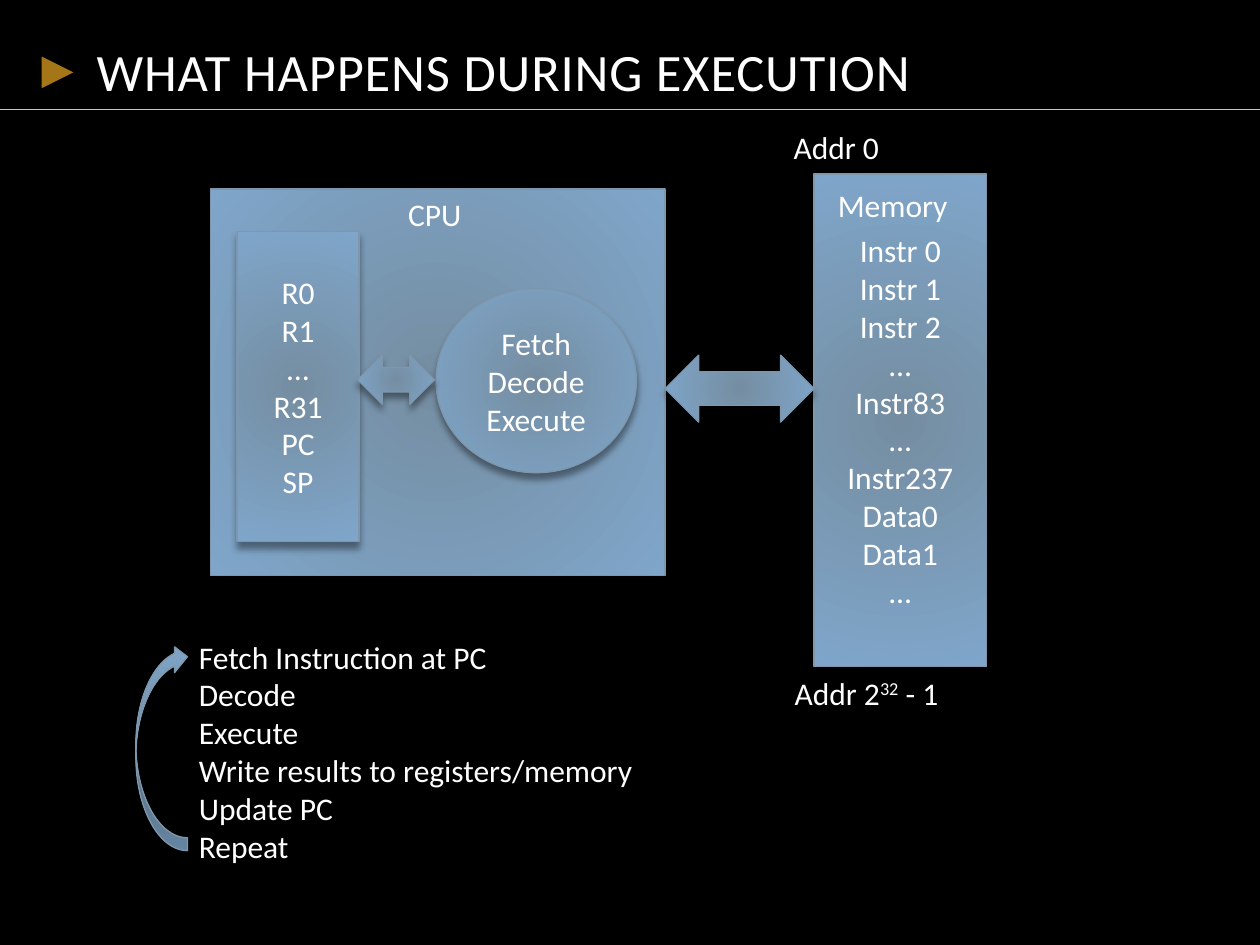
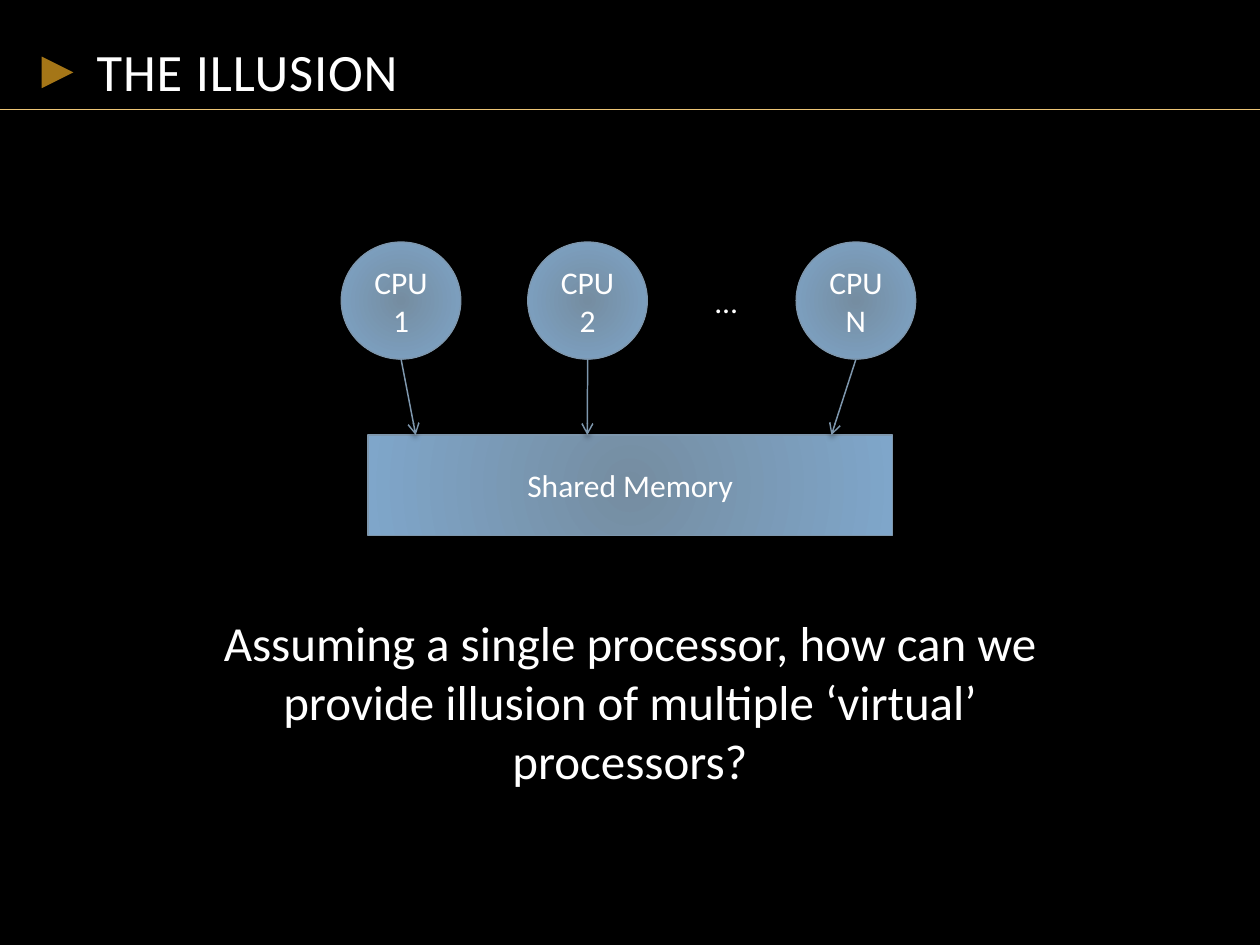
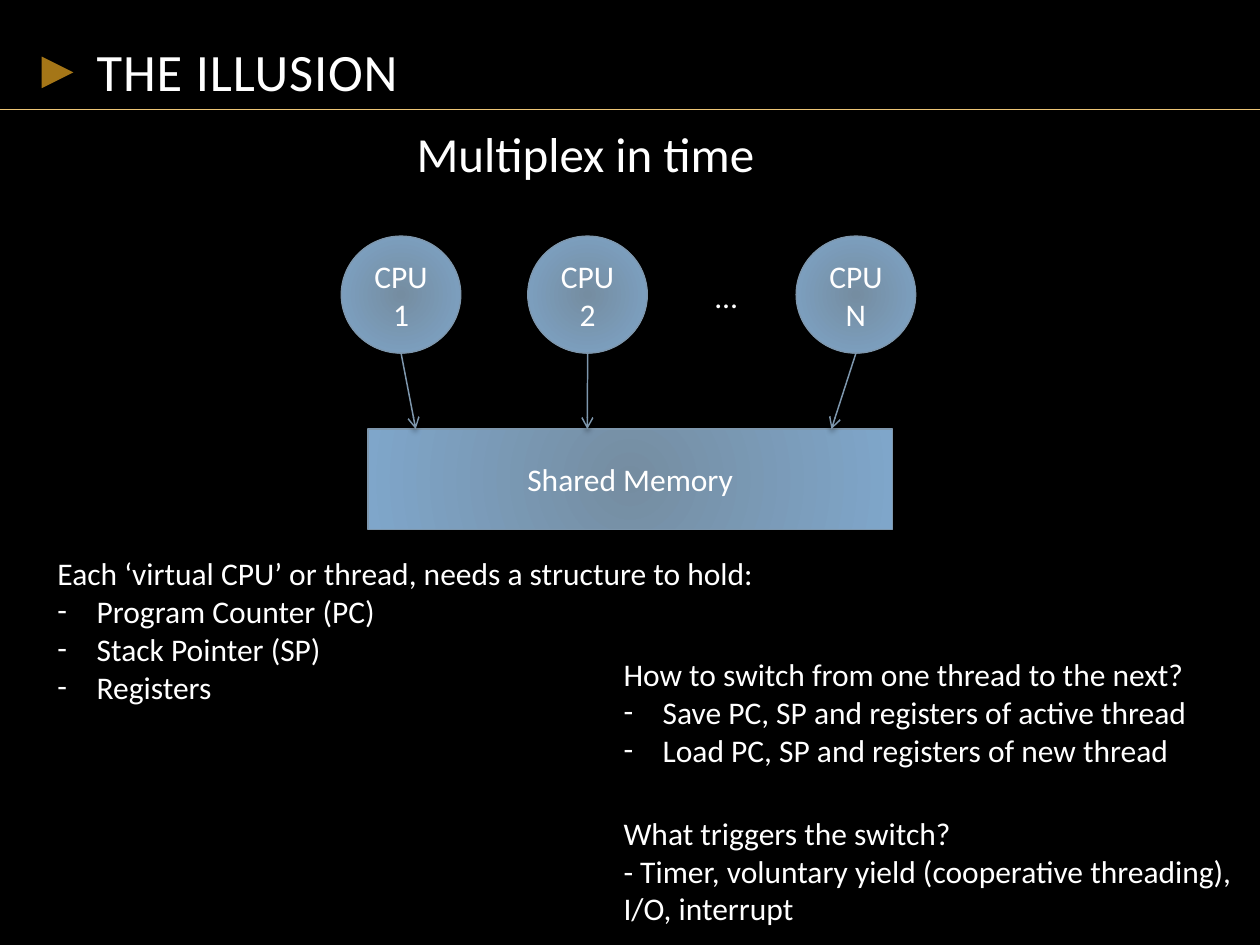
from dataclasses import dataclass

import lxml.etree
import pptx
import pptx.dml.color
import pptx.enum.shapes
import pptx.enum.text
import pptx.oxml.ns
import pptx.util

Cm = pptx.util.Cm
Pt = pptx.util.Pt
FORM = pptx.enum.shapes.MSO_SHAPE
ALIGN = pptx.enum.text.PP_ALIGN
ANCHOR = pptx.enum.text.MSO_ANCHOR

# Shared look
FONT = "Calibri"
BLACK, WHITE = "000000", "FFFFFF"
GOLD, AMBER = "ECC577", "A57617"
CORE, RIM, EDGE = "758DA1", "7FA6CA", "7E97AD"
WIDE, HIGH = 25.4, 19.05
BODY, LARGE, TITLE = 18, 28, 30
INDENT = 0.79


@dataclass
class Block:
    """A shaded shape; lengths in centimetres."""
    form: int
    left: float
    top: float
    width: float
    height: float
    lines: tuple = ()


@dataclass
class Note:
    """A text box; with dashes, all lines after the first are bulleted."""
    left: float
    top: float
    width: float
    height: float
    lines: tuple
    size: int = BODY
    dashes: bool = False
    wrap: bool = False


@dataclass
class Node:
    """A processor and the place where its arrow meets the memory."""
    name: str
    left: float
    target: float


def color(code: str) -> pptx.dml.color.RGBColor:
    return pptx.dml.color.RGBColor.from_string(code)


def add_tag(parent, tag: str, **attrs):
    items = {key: str(value) for key, value in attrs.items()}
    return lxml.etree.SubElement(parent, pptx.oxml.ns.qn(tag), items)


def style(para, size: int) -> None:
    for run in para.runs:
        run.font.name, run.font.size = FONT, Pt(size)
        run.font.color.rgb = color(WHITE)


def write(frame, lines: tuple, size: int, align) -> None:
    frame.text = "\n".join(lines)
    for para, line in zip(frame.paragraphs, lines):
        para.text = line
        para.alignment = align
        style(para, size)


def add_shade(shape, blur: float, gap: float) -> None:
    effects = add_tag(shape.element.spPr, "a:effectLst")
    shade = add_tag(effects, "a:outerShdw", blurRad=Pt(blur), dist=Pt(gap),
                    dir=5400000, rotWithShape=0)
    add_tag(add_tag(shade, "a:srgbClr", val=BLACK), "a:alpha", val=40000)


def draw_block(shapes, block: Block):
    shape = shapes.add_shape(block.form, Cm(block.left), Cm(block.top),
                             Cm(block.width), Cm(block.height))
    shape.fill.gradient()
    for stop, code in zip(shape.fill.gradient_stops, (CORE, RIM)):
        stop.color.rgb = color(code)
    # Turn the linear gradient into a circular one
    grad = shape.element.spPr.find(pptx.oxml.ns.qn("a:gradFill"))
    grad.remove(grad.find(pptx.oxml.ns.qn("a:lin")))
    sides = dict.fromkeys("ltrb", 100000)
    add_tag(add_tag(grad, "a:path", path="circle"), "a:fillToRect", **sides)
    shape.line.color.rgb = color(EDGE)
    shape.line.width = Pt(0.75)
    add_shade(shape, 4, 3.4)
    if block.lines:
        write(shape.text_frame, block.lines, BODY, ALIGN.CENTER)
    return shape


def draw_note(shapes, note: Note, align=ALIGN.LEFT):
    frame = shapes.add_textbox(Cm(note.left), Cm(note.top), Cm(note.width),
                               Cm(note.height)).text_frame
    frame.word_wrap = note.wrap
    frame.auto_size = pptx.enum.text.MSO_AUTO_SIZE.SHAPE_TO_FIT_TEXT
    write(frame, note.lines, note.size, align)
    for para in frame.paragraphs[1:] if note.dashes else ():
        props = para._p.get_or_add_pPr()
        props.set("marL", str(Cm(INDENT)))
        props.set("indent", str(-Cm(INDENT)))
        add_tag(props, "a:buFont", typeface=FONT)
        add_tag(props, "a:buChar", char="-")
    return frame


def draw_line(shapes, start: tuple, end: tuple, code: str, width: float):
    line = shapes.add_connector(pptx.enum.shapes.MSO_CONNECTOR.STRAIGHT,
                                *map(Cm, start + end))
    line.line.color.rgb = color(code)
    line.line.width = Pt(width)
    return line


def draw_arrow(shapes, start: tuple, end: tuple) -> None:
    arrow = draw_line(shapes, start, end, EDGE, 0.85)
    add_tag(arrow.line._get_or_add_ln(), "a:tailEnd", type="arrow")
    add_shade(arrow, 3, 2)


def add_page(deck, title: str):
    page = deck.slides.add_slide(deck.slide_layouts[6])
    page.background.fill.solid()
    page.background.fill.fore_color.rgb = color(BLACK)
    rule = draw_line(page.shapes, (0, 2.21), (WIDE, 2.21), GOLD, 0.75)
    add_tag(rule.element.spPr, "a:effectLst")
    # Title marker
    mark = page.shapes.add_shape(FORM.ISOSCELES_TRIANGLE, Cm(0.84), Cm(1.14),
                                 Cm(0.64), Cm(0.64))
    mark.rotation = 90
    mark.shadow.inherit = False
    mark.fill.solid()
    mark.fill.fore_color.rgb = color(AMBER)
    mark.line.fill.background()
    # Title text
    frame = draw_note(page.shapes, Note(1.7, 0.43, 22.02, 1.75, (title,),
                                        TITLE, wrap=True))
    frame.auto_size = pptx.enum.text.MSO_AUTO_SIZE.NONE
    frame.vertical_anchor = ANCHOR.BOTTOM
    frame.paragraphs[0].runs[0]._r.get_or_add_rPr().set("spc", "50")
    return page.shapes


NODES = (Node("CPU1", 6.88, 8.38), Node("CPU2", 10.64, 11.84),
         Node("CPUN", 16.05, 16.76))


def draw_model(shapes, top: float) -> None:
    """Processors in a row, each pointing at the shared memory."""
    width, height, drop = 2.41, 2.36, 3.89
    draw_block(shapes, Block(FORM.RECTANGLE, 7.42, top + drop, 10.57, 2.03,
                             ("Shared Memory",)))
    draw_note(shapes, Note(14.17, top + 0.69, 0.97, 1.02, ("…",)))
    for node in NODES:
        group = shapes.add_group_shape().shapes
        draw_block(group, Block(FORM.OVAL, node.left, top, width, height,
                                (node.name,)))
        draw_arrow(group, (node.left + width / 2, top + height),
                   (node.target, top + drop))


def build_run(deck) -> None:
    shapes = add_page(deck, "WHAT HAPPENS DURING EXECUTION")
    # Processor, memory and the links between them
    for block in (
        Block(FORM.RECTANGLE, 4.24, 3.81, 9.17, 7.8),
        Block(FORM.RECTANGLE, 4.78, 4.67, 2.46, 6.25,
              ("R0", "R1", "…", "R31", "PC", "SP")),
        Block(FORM.RECTANGLE, 16.41, 3.51, 3.48, 9.93,
              ("Instr 0", "Instr 1", "Instr 2", "…", "Instr83", "…",
               "Instr237", "Data0", "Data1", "…")),
        Block(FORM.OVAL, 8.79, 5.82, 4.04, 3.71,
              ("Fetch", "Decode", "Execute")),
        Block(FORM.LEFT_RIGHT_ARROW, 13.41, 7.16, 3, 1.35),
        Block(FORM.LEFT_RIGHT_ARROW, 7.21, 7.16, 1.55, 0.99),
    ):
        draw_block(shapes, block)
    # Labels and the steps
    for note in (
        Note(7.98, 3.81, 1.6, 1.02, ("CPU",)),
        Note(16.64, 3.63, 2.74, 1.02, ("Memory",)),
        Note(15.75, 2.46, 2.26, 1.02, ("Addr 0",)),
        Note(3.76, 12.73, 9.42, 4.88,
             ("Fetch Instruction at PC", "Decode", "Execute",
              "Write results to registers/memory", "Update PC", "Repeat")),
    ):
        draw_note(shapes, note)
    # Last address, with a raised exponent
    last = draw_note(shapes, Note(15.77, 13.46, 3.51, 1.02, ("Addr 2",)))
    para = last.paragraphs[0]
    power, rest = para.add_run(), para.add_run()
    power.text, rest.text = "32", " - 1"
    power._r.get_or_add_rPr().set("baseline", "30000")
    style(para, BODY)
    # Loop back to the first step
    loop = draw_block(shapes, Block(FORM.CURVED_RIGHT_ARROW, 2.74, 12.98,
                                    1.04, 4.17))
    loop.element.spPr.xfrm.set("flipV", "1")


def build_ask(deck) -> None:
    shapes = add_page(deck, "THE ILLUSION")
    draw_model(shapes, 4.88)
    draw_note(shapes, Note(
        3.43, 12.22, 18.54, 3.84,
        ("Assuming a single processor, how can we provide illusion of "
         "multiple ‘virtual’ processors?",), LARGE, wrap=True), ALIGN.CENTER)


def build_switch(deck) -> None:
    shapes = add_page(deck, "THE ILLUSION")
    draw_model(shapes, 4.76)
    for note in (
        Note(0.91, 11.05, 14.73, 3.33,
             ("Each ‘virtual CPU’ or thread, needs a structure to hold:",
              "Program Counter (PC)", "Stack Pointer (SP)", "Registers"),
             dashes=True),
        Note(12.32, 13.08, 12.29, 2.57,
             ("How to switch from one thread to the next?",
              "Save PC, SP and registers of active thread",
              "Load PC, SP and registers of new thread"), dashes=True),
        Note(12.32, 16.28, 13.13, 2.57,
             ("What triggers the switch?",
              "- Timer, voluntary yield (cooperative threading), \n"
              "I/O, interrupt")),
        Note(8.15, 2.36, 7.39, 1.45, ("Multiplex in time",), LARGE),
    ):
        draw_note(shapes, note)


def main() -> None:
    deck = pptx.Presentation()
    deck.slide_width, deck.slide_height = Cm(WIDE), Cm(HIGH)
    for build in (build_run, build_ask, build_switch):
        build(deck)
    deck.save("out.pptx")


if __name__ == "__main__":
    main()
